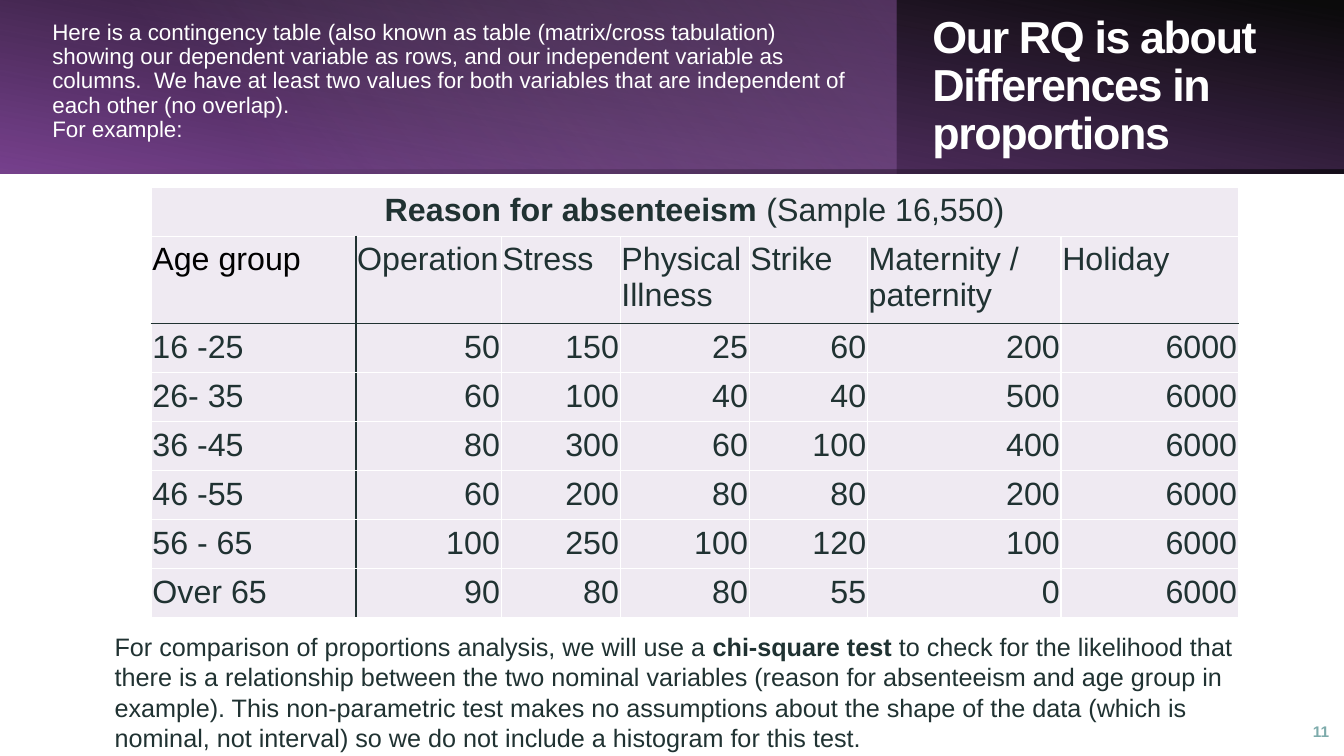
"""Build the slide on absenteeism reasons by age group."""
from pptx import Presentation
from pptx.dml.color import RGBColor
from pptx.enum.shapes import MSO_SHAPE
from pptx.enum.text import MSO_ANCHOR, MSO_AUTO_SIZE, PP_ALIGN
from pptx.oxml import parse_xml
from pptx.oxml.ns import nsdecls
from pptx.util import Cm, Pt

FONT, INK, WHITE, PALE = "Arial", "203232", "FFFFFF", "EFEAF2"
TITLE = "Our RQ is about Differences in proportions"
INTRO = [
    [("Here is a contingency table (also known as table (matrix/cross tabulation) showing our "
      "dependent variable as rows, and our independent variable as columns.  We have at least two "
      "values for both variables that are independent of each other (no overlap).", False)],
    [("For example:", False)],
]
NOTE = [[
    ("For comparison of proportions analysis, we will use a ", False),
    ("chi-square test ", True),
    ("to check for the likelihood that there is a relationship between the two nominal variables "
     "(reason for absenteeism and age group in example). This non-parametric test makes no "
     "assumptions about the shape of the data (which is nominal, not interval) so we do not "
     "include a histogram for this test.", False),
]]
HEAD = [("Reason for absenteeism ", True), ("(Sample 16,550)", False)]
NAMES = ["Age group", "Operation", "Stress", "Physical Illness", "Strike",
         "Maternity /\npaternity", "Holiday"]
DATA = [
    ("16 -25", 50, 150, 25, 60, 200, 6000),
    ("26- 35", 60, 100, 40, 40, 500, 6000),
    ("36 -45", 80, 300, 60, 100, 400, 6000),
    ("46 -55", 60, 200, 80, 80, 200, 6000),
    ("56 - 65", 100, 250, 100, 120, 100, 6000),
    ("Over 65", 90, 80, 80, 55, 0, 6000),
]
WIDTHS = [5.16, 3.66, 3, 3.25, 2.98, 4.88, 4.47]
ROW, TALL = 1.22, 2.18
WIDE, BAND = 33.87, 4.37
BANDS = [
    (WIDE, 180, True, 260, [(0, "000000", 96), (100, "77418E", 100)]),
    (22.58, 0, False, 320, [(26, "C49FD3", 0), (100, "9C5FB5", 41)]),
    (WIDE, 0, True, 100, [(22, "9C5FB5", 15), (100, "000000", 63)]),
]


def rgb(code):
    return RGBColor.from_string(code)


def write(frame, paras, size, color, align=PP_ALIGN.LEFT, space=None):
    for i, runs in enumerate(paras):
        para = frame.paragraphs[0] if i == 0 else frame.add_paragraph()
        para.alignment = align
        para.line_spacing = space
        for text, bold in runs:
            run = para.add_run()
            run.text = text
            font = run.font
            font.name, font.size, font.bold = FONT, Pt(size), bold
            font.color.rgb = rgb(color)


def add_text(slide, box, paras, size, color, anchor=MSO_ANCHOR.TOP, **style):
    frame = slide.shapes.add_textbox(*map(Cm, box)).text_frame
    frame.word_wrap = True
    frame.vertical_anchor = anchor
    write(frame, paras, size, color, **style)


def add_band(slide, width, turn, flip, angle, stops):
    shape = slide.shapes.add_shape(MSO_SHAPE.RECTANGLE, 0, 0, Cm(width), Cm(BAND))
    shape.shadow.inherit = False
    shape.line.fill.background()
    shape.rotation = turn
    if flip:
        shape.element.spPr.xfrm.set("flipH", "1")
    marks = "".join(
        f'<a:gs pos="{pos * 1000}"><a:srgbClr val="{color}">'
        f'<a:alpha val="{alpha * 1000}"/></a:srgbClr></a:gs>'
        for pos, color, alpha in stops)
    grad = parse_xml(f'<a:gradFill {nsdecls("a")} rotWithShape="1"><a:gsLst>{marks}</a:gsLst>'
                     f'<a:lin ang="{angle * 60000}" scaled="0"/></a:gradFill>')
    shape.element.spPr.find(".//{*}prstGeom").addnext(grad)


def add_title(slide):
    title = slide.shapes.title
    slide.shapes.element.append(title.element)
    title.left, title.top, title.width, title.height = map(Cm, (23.24, 0.97, 8.99, 2.44))
    frame = title.text_frame
    frame.word_wrap = True
    frame.auto_size = MSO_AUTO_SIZE.NONE
    frame.vertical_anchor = MSO_ANCHOR.MIDDLE
    write(frame, [[(TITLE, True)]], 32, WHITE, space=0.9)
    frame.paragraphs[0].runs[0].font._element.set("spc", "-100")


def style(cell, row, col):
    cell.margin_left = cell.margin_right = Cm(0.03)
    cell.margin_top = cell.margin_bottom = Cm(0.13)
    cell.fill.solid()
    cell.fill.fore_color.rgb = rgb(PALE)
    dark = {"L": row > 0 and col == 1, "R": row > 0 and col == 0,
            "T": row == 2, "B": row == 1}
    props = cell._tc.get_or_add_tcPr()
    for i, (side, on) in enumerate(dark.items()):
        props.insert(i, parse_xml(
            f'<a:ln{side} {nsdecls("a")} w="12192"><a:solidFill>'
            f'<a:srgbClr val="{INK if on else WHITE}"/></a:solidFill></a:ln{side}>'))


def add_grid(slide):
    rows = [NAMES, *DATA]
    highs = [ROW, TALL] + [ROW] * len(DATA)
    table = slide.shapes.add_table(
        len(highs), len(WIDTHS), Cm(3.81), Cm(4.72), Cm(sum(WIDTHS)), Cm(sum(highs))).table
    for col, width in zip(table.columns, WIDTHS):
        col.width = Cm(width)
    for row, high in zip(table.rows, highs):
        row.height = Cm(high)
    for r in range(len(highs)):
        for c in range(len(WIDTHS)):
            style(table.cell(r, c), r, c)
    table.cell(0, 0).merge(table.cell(0, len(WIDTHS) - 1))
    write(table.cell(0, 0).text_frame, [HEAD], 23, INK, PP_ALIGN.CENTER)
    for r, row in enumerate(rows, 1):
        for c, value in enumerate(row):
            paras = [[(line, False)] for line in str(value).split("\n")]
            align = PP_ALIGN.RIGHT if r > 1 and c > 0 else PP_ALIGN.LEFT
            color = "000000" if (r, c) == (1, 0) else INK
            write(table.cell(r, c).text_frame, paras, 23, color, align)


def main():
    deck = Presentation()
    deck.slide_width, deck.slide_height = Cm(WIDE), Cm(19.05)
    slide = deck.slides.add_slide(deck.slide_layouts[5])
    for band in BANDS:
        add_band(slide, *band)
    add_title(slide)
    add_text(slide, (1.07, 0.41, 20.93, 3.76), INTRO, 16, WHITE, space=0.9)
    add_grid(slide)
    add_text(slide, (2.64, 15.79, 29.57, 3.26), NOTE, 18, INK)
    add_text(slide, (32.51, 17.93, 1.24, 1.02), [[("11", True)]], 11, "7DABAB",
             MSO_ANCHOR.MIDDLE, align=PP_ALIGN.RIGHT)
    deck.save("out.pptx")


if __name__ == "__main__":
    main()
